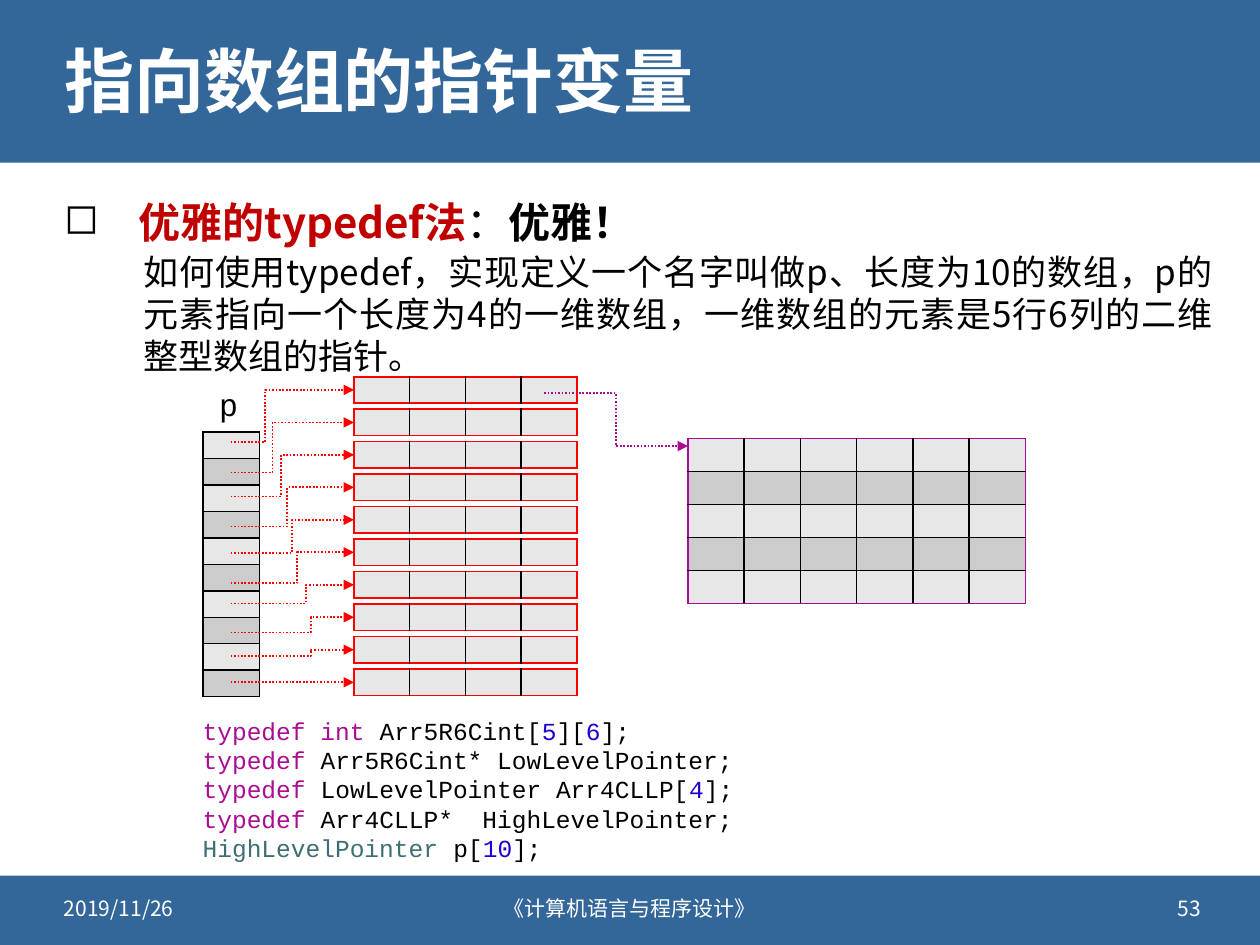
from lxml.etree import SubElement
from pptx import Presentation
from pptx.dml.color import RGBColor
from pptx.enum.dml import MSO_LINE
from pptx.enum.shapes import MSO_CONNECTOR, MSO_SHAPE
from pptx.enum.text import MSO_ANCHOR, MSO_AUTO_SIZE, PP_ALIGN
from pptx.oxml.ns import qn
from pptx.util import Inches, Pt

BLUE = RGBColor(0x33, 0x66, 0x99)
WHITE = RGBColor(0xFF, 0xFF, 0xFF)
BLACK = RGBColor(0x00, 0x00, 0x00)
DARK_RED = RGBColor(0xC0, 0x00, 0x00)
RED = RGBColor(0xFF, 0x00, 0x00)
PURPLE = RGBColor(0xAA, 0x0D, 0x91)
LINK_PURPLE = RGBColor(0xAA, 0x0B, 0x91)
NUMBER_BLUE = RGBColor(0x1C, 0x00, 0xCF)
TEAL = RGBColor(0x3F, 0x6E, 0x74)
LIGHT_GREY = RGBColor(0xE7, 0xE7, 0xE7)
MID_GREY = RGBColor(0xCC, 0xCC, 0xCC)

SANS = "Noto Sans CJK SC"
MONO = "Courier New"

QUESTION = (
    "如何使用typedef，实现定义一个名字叫做p、长度为10的数组，"
    "p的元素指向一个长度为4的一维数组，一维数组的元素是5行6列的二维整型数组的指针。"
)
CODE = [
    [("typedef int", PURPLE), (" Arr5R6Cint[", BLACK), ("5", NUMBER_BLUE),
     ("][", BLACK), ("6", NUMBER_BLUE), ("];", BLACK)],
    [("typedef", PURPLE), (" Arr5R6Cint* LowLevelPointer;", BLACK)],
    [("typedef ", PURPLE), ("LowLevelPointer Arr4CLLP[", BLACK),
     ("4", NUMBER_BLUE), ("];", BLACK)],
    [("typedef", PURPLE), (" Arr4CLLP*  HighLevelPointer;", BLACK)],
    [("HighLevelPointer", TEAL), (" p[", BLACK), ("10", NUMBER_BLUE), ("];", BLACK)],
]

# Start height of each pointer and the share of its width where it bends
POINTERS = [
    (3.51, 0.28), (3.75, 0.34), (3.94, 0.41), (4.18, 0.46), (4.39, 0.5),
    (4.63, 0.54), (4.79, 0.61), (5.02, 0.65), (5.21, 0.65), (5.41, 0.5),
]
ROW_HEIGHT = 0.21
ARRAY_LEFT = 2.81
ARRAY_TOP, LAST_ARRAY_TOP = 2.99, 5.31


def add_span(para, text, color, size, name=SANS, bold=False):
    span = para.add_run()
    span.text = text
    span.font.color.rgb = color
    for key, value in {"name": name, "size": Pt(size), "bold": bold}.items():
        setattr(span.font, key, value)
    SubElement(span.font._element, qn("a:ea"), typeface=name)


def add_text(page, area, lines, size, name=SANS, align=PP_ALIGN.LEFT, **frame_format):
    """Add a text box; each line is a list of (text, colour) or (text, colour, bold)."""
    box = page.shapes.add_textbox(*map(Inches, area))
    frame = box.text_frame
    for key, value in {"word_wrap": True, **frame_format}.items():
        setattr(frame, key, value)
    for index, line in enumerate(lines):
        para = frame.add_paragraph() if index else frame.paragraphs[0]
        para.alignment = align
        for text, color, *bold in line:
            add_span(para, text, color, size, name, bool(bold and bold[0]))
    return frame


def add_band(page, order, top, height):
    """Add a full-width band behind the title."""
    band = page.shapes.add_shape(
        MSO_SHAPE.RECTANGLE, 0, Inches(top), Inches(10), Inches(height))
    band.shadow.inherit = False
    band.fill.solid()
    band.fill.fore_color.rgb = BLUE
    band.line.fill.background()
    page.shapes._spTree.insert(2 + order, band._element)


def set_borders(cell, colors):
    """Colour the borders, given in the order left, right, top, bottom."""
    properties = cell._tc.get_or_add_tcPr()
    for index, (side, color) in enumerate(zip("LRTB", colors)):
        line = SubElement(properties, qn(f"a:ln{side}"), w=str(Pt(1)))
        fill = SubElement(line, qn("a:solidFill"))
        SubElement(fill, qn("a:srgbClr"), val=str(color))
        properties.insert(index, line)


def add_grid(page, area, rows, columns, outline):
    """Add an empty table with grey stripes, black inner lines and a coloured outline."""
    table = page.shapes.add_table(rows, columns, *map(Inches, area)).table
    table.first_row = table.horz_banding = False
    for row in range(rows):
        for column in range(columns):
            cell = table.cell(row, column)
            for side in ("left", "right", "top", "bottom"):
                setattr(cell, f"margin_{side}", 0)
            SubElement(cell.text_frame.paragraphs[0]._p, qn("a:endParaRPr"), sz="800")
            cell.fill.solid()
            cell.fill.fore_color.rgb = MID_GREY if row % 2 else LIGHT_GREY
            on_edge = (column == 0, column == columns - 1, row == 0, row == rows - 1)
            set_borders(cell, [outline if edge else BLACK for edge in on_edge])


def add_pointer(page, start, end, bend, color):
    pointer = page.shapes.add_connector(MSO_CONNECTOR.ELBOW, *map(Inches, start + end))
    pointer.line.color.rgb = color
    pointer.line.width = Pt(1)
    pointer.line.dash_style = MSO_LINE.ROUND_DOT
    SubElement(pointer.line._get_or_add_ln(), qn("a:tailEnd"), type="triangle")
    properties = pointer._element.spPr
    SubElement(properties, qn("a:effectLst"))
    geometry = properties.find(qn("a:prstGeom"))
    guides = geometry.find(qn("a:avLst"))
    if guides is None:
        guides = SubElement(geometry, qn("a:avLst"))
    SubElement(guides, qn("a:gd"), name="adj1", fmla=f"val {round(bend * 100000)}")


def format_title(page):
    title = page.shapes.title
    area = {"left": 0.41, "top": 0.18, "width": 9.19, "height": 0.99}
    for key, value in area.items():
        setattr(title, key, Inches(value))
    frame = title.text_frame
    frame.auto_size = MSO_AUTO_SIZE.NONE
    frame.vertical_anchor = MSO_ANCHOR.MIDDLE
    para = frame.paragraphs[0]
    para.alignment = PP_ALIGN.LEFT
    para.line_spacing = 0.9
    add_span(para, "指向数组的指针变量", WHITE, 40, bold=True)


def add_heading(page):
    spans = [("优雅的typedef法", DARK_RED, True), ("：", BLACK), ("优雅！", BLACK, True)]
    para = add_text(page, (0.41, 1.47, 9.19, 0.54), [spans], 24).paragraphs[0]
    para.line_spacing = 1.1
    properties = para._p.get_or_add_pPr()
    properties.set("marL", str(Inches(0.59)))
    properties.set("indent", str(-Inches(0.59)))
    bullet_color = SubElement(properties, qn("a:buClr"))
    SubElement(bullet_color, qn("a:srgbClr"), val=str(BLACK))
    SubElement(properties, qn("a:buChar"), char="◻")


def add_footer(page):
    for left, width, text, align in [
        (0.41, 2.4, "2019/11/26", PP_ALIGN.LEFT),
        (3.2, 3.6, "《计算机语言与程序设计》", PP_ALIGN.CENTER),
        (7.23, 2.4, "53", PP_ALIGN.RIGHT),
    ]:
        add_text(page, (left, 7.01, width, 0.4), [[(text, WHITE)]], 12,
                 align=align, vertical_anchor=MSO_ANCHOR.MIDDLE)


def add_diagram(page):
    count = len(POINTERS)
    pitch = (LAST_ARRAY_TOP - ARRAY_TOP) / (count - 1)
    tops = [ARRAY_TOP + index * pitch for index in range(count)]
    add_grid(page, (1.61, 3.43, 0.45, count * ROW_HEIGHT), count, 1, BLACK)
    for top in tops:
        add_grid(page, (ARRAY_LEFT, top, 1.77, ROW_HEIGHT), 1, 4, RED)
    add_grid(page, (5.46, 3.48, 2.68, 1.31), 5, 6, LINK_PURPLE)
    for top, (start, bend) in zip(tops, POINTERS):
        add_pointer(page, (1.83, start), (ARRAY_LEFT, top + ROW_HEIGHT / 2), bend, RED)
    add_pointer(page, (4.32, 3.12), (5.46, 3.54), 0.5, LINK_PURPLE)
    add_text(page, (1.64, 3.01, 0.35, 0.4), [[("p", BLACK)]], 18, MONO, word_wrap=False)


def main():
    deck = Presentation()
    deck.slide_width, deck.slide_height = Inches(10), Inches(7.5)
    page = deck.slides.add_slide(deck.slide_layouts[5])
    add_band(page, 0, 0, 1.29)
    add_band(page, 1, 6.95, 0.55)
    format_title(page)
    add_heading(page)
    add_footer(page)
    add_text(page, (1.04, 1.94, 8.68, 1.11), [[(QUESTION, BLACK)]], 20,
             align=PP_ALIGN.JUSTIFY, auto_size=MSO_AUTO_SIZE.SHAPE_TO_FIT_TEXT)
    add_text(page, (1.51, 5.63, 4.51, 1.28), CODE, 14, MONO,
             auto_size=MSO_AUTO_SIZE.SHAPE_TO_FIT_TEXT)
    add_diagram(page)
    deck.save("out.pptx")


if __name__ == "__main__":
    main()
